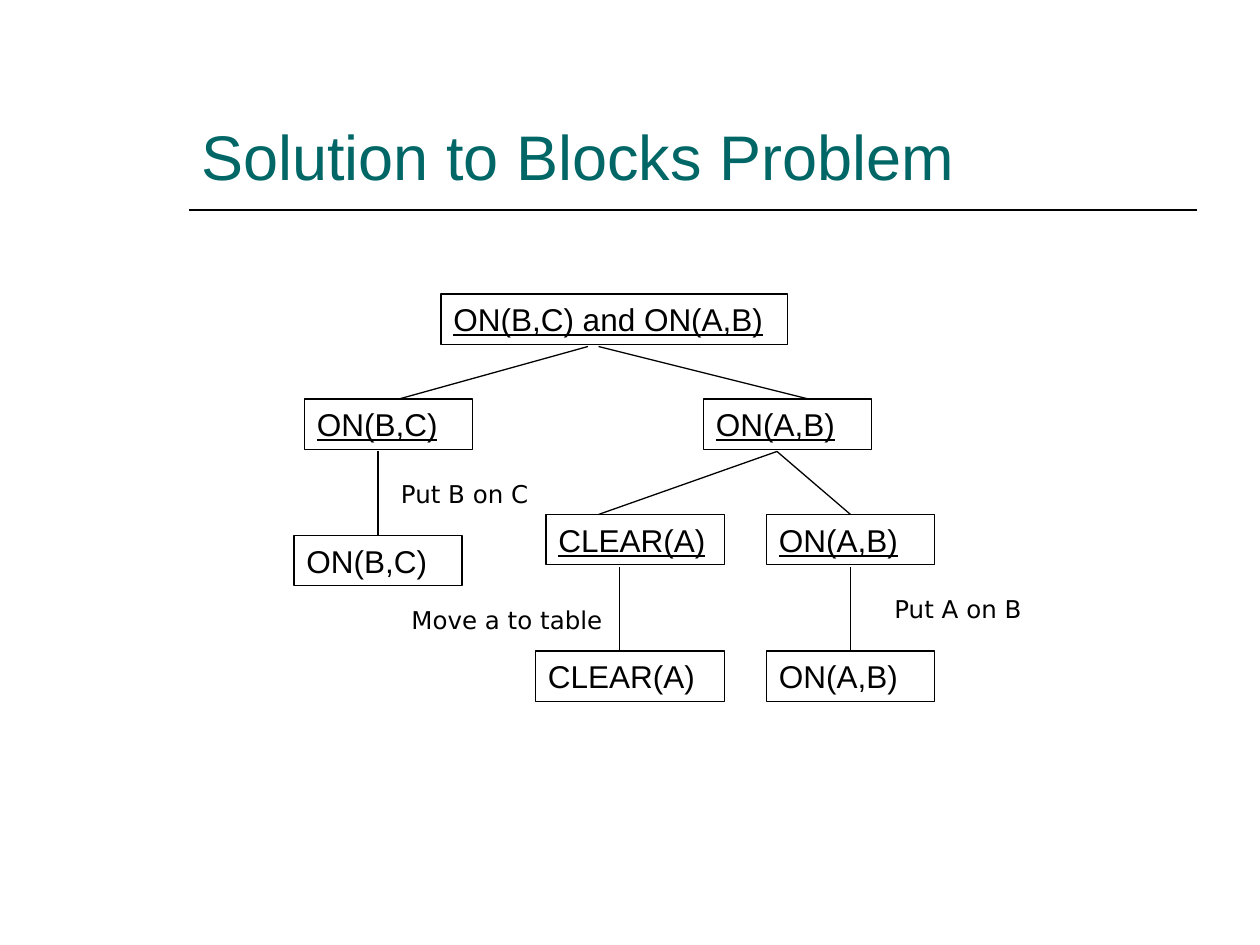
from pptx import Presentation
from pptx.dml.color import RGBColor
from pptx.enum.shapes import MSO_CONNECTOR as Link, MSO_SHAPE as Form
from pptx.enum.text import MSO_ANCHOR as Anchor, PP_ALIGN as Align
from pptx.oxml.ns import qn
from pptx.util import Inches, Pt
from lxml.etree import SubElement

BLACK = RGBColor(0, 0, 0)
TEAL = RGBColor(0, 0x66, 0x66)
COLS, ROWS = 120, 90
WIDE, HIGH = Inches(10), Inches(7.5)

GOALS = [
    ("ON(B,C) and ON(A,B)", 14, 0, 33, True),
    ("ON(B,C)", 1, 10, 16, True),
    ("ON(B,C)", 0, 23, 16, False),
    ("ON(A,B)", 39, 10, 16, True),
    ("CLEAR(A)", 24, 21, 17, True),
    ("ON(A,B)", 45, 21, 16, True),
    ("CLEAR(A)", 23, 34, 18, False),
    ("ON(A,B)", 45, 34, 16, False),
]
EDGES = [
    (28, 5, 10, 10),
    (29, 5, 49, 10),
    (46, 15, 29, 21),
    (46, 15, 53, 21),
    (8, 15, 8, 23),
    (31, 26, 31, 34),
    (53, 26, 53, 34),
]
MOVES = [
    ("Put B on C", 9, 17, 20),
    ("Move a to table", 10, 29, 23),
    ("Put A on B", 56, 28, 20),
]


def col(n):
    return round(WIDE * n / COLS)


def row(n):
    return round(HIGH * n / ROWS)


def area(x, y, w, h):
    return col(x), row(y), col(w), row(h)


def write(shape, text, size, face, color, anchor=Anchor.TOP, under=None):
    frame = shape.text_frame
    frame.word_wrap = True
    frame.vertical_anchor = anchor
    par = frame.paragraphs[0]
    par.text = text
    par.alignment = Align.LEFT
    font = par.font
    font.size, font.name, font.underline = Pt(size), face, under
    font.color.rgb = color


def rule(slide, x1, y1, x2, y2, width):
    line = slide.shapes.add_connector(
        Link.STRAIGHT, col(x1), row(y1), col(x2), row(y2))
    line.line.color.rgb = BLACK
    line.line.width = Pt(width)
    SubElement(line._element.spPr, qn("a:effectLst"))


def head(slide, x, y, w, h):
    rule(slide, x, y + h, x + w, y + h, 1)
    box = slide.shapes.add_textbox(*area(x, y, w, h - 1))
    write(box, "Solution to Blocks Problem", 36, "Arial", TEAL, Anchor.BOTTOM)


def tree(slide, x, y):
    for text, dx, dy, w, under in GOALS:
        goal = slide.shapes.add_shape(
            Form.RECTANGLE, *area(x + dx, y + dy, w, 4.8))
        goal.shadow.inherit = False
        goal.fill.background()
        goal.line.color.rgb = BLACK
        goal.line.width = Pt(0.75)
        write(goal, text, 18, "Arial", BLACK, under=under)
    for x1, y1, x2, y2 in EDGES:
        rule(slide, x + x1, y + y1, x + x2, y + y2, 0.75)
    for text, dx, dy, w in MOVES:
        move = slide.shapes.add_textbox(*area(x + dx, y + dy, w, 4))
        write(move, text, 14, "DejaVu Sans", BLACK)


def main():
    deck = Presentation()
    deck.slide_width, deck.slide_height = WIDE, HIGH
    slide = deck.slides.add_slide(deck.slide_layouts[6])
    head(slide, 18, 4, 96, 16)
    tree(slide, 28, 28)
    deck.save("out.pptx")


if __name__ == "__main__":
    main()
